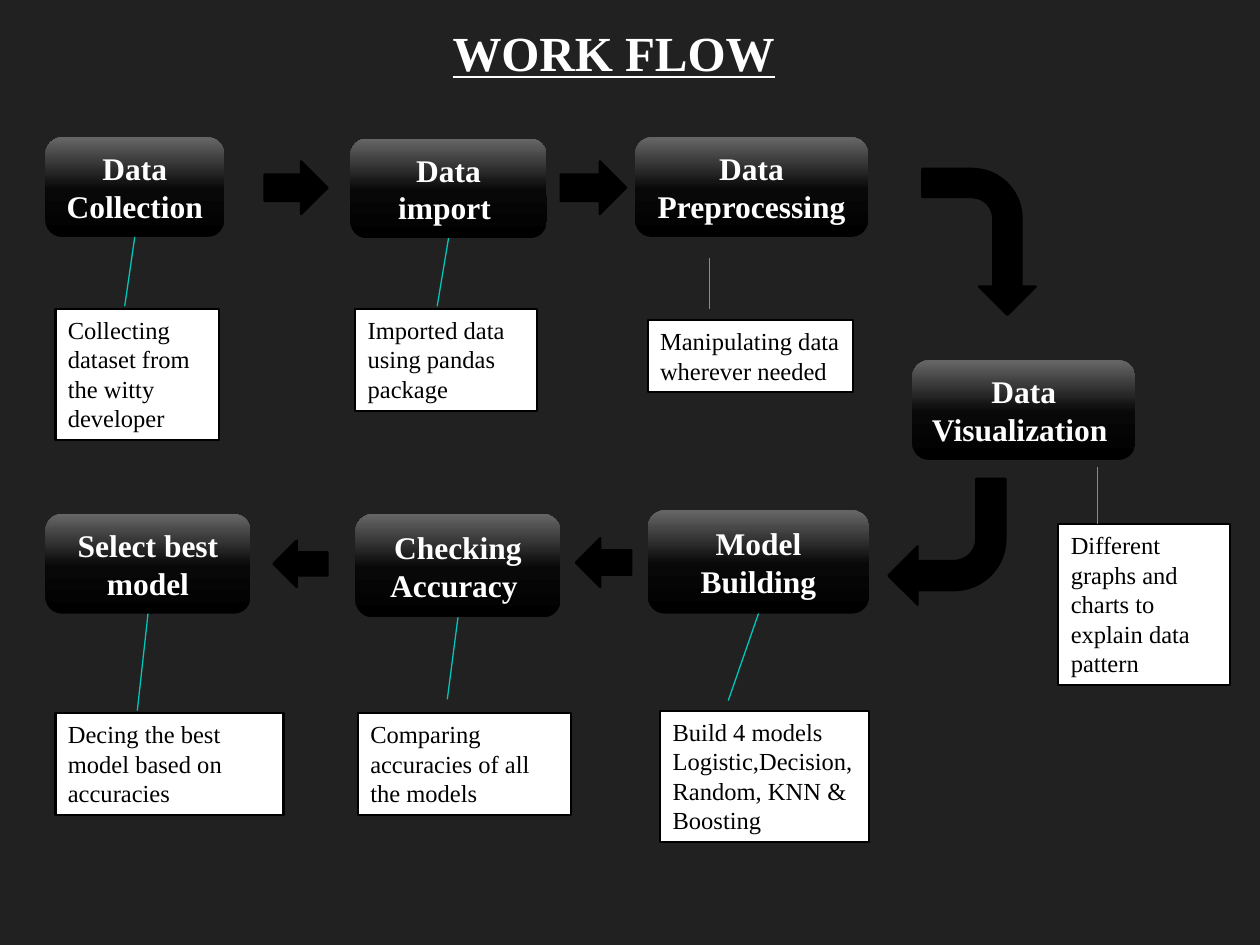
from copy import deepcopy
from dataclasses import dataclass

from pptx import Presentation
from pptx.dml.color import RGBColor
from pptx.enum.shapes import MSO_CONNECTOR, MSO_SHAPE as SHAPE
from pptx.enum.text import MSO_ANCHOR as ANCHOR, MSO_AUTO_SIZE as AUTO, PP_ALIGN as ALIGN
from pptx.oxml.ns import qn
from pptx.util import Inches, Pt


@dataclass(frozen=True)
class Theme:
    font: str = "Times New Roman"
    background: str = "212121"
    white: str = "FFFFFF"
    black: str = "000000"
    leader: str = "00C6BB"
    gradient: tuple = ((0, "000000"), (0.48, "080808"), (1, "666666"))
    title_size: int = 28
    stage_size: int = 18
    note_size: int = 14
    border: float = 1.25
    leader_width: float = 0.75


THEME = Theme()
BOTTOM = 2

# stage text, stage box, note paragraphs, note box, leader start, leader end
# (a start of None means the middle of the stage's bottom side)
STEPS = [
    ("Data Collection", (0.36, 1.09, 1.42, 0.79),
     ["Collecting dataset from the witty developer"], (0.44, 2.45, 1.3, 1.04),
     None, (0.99, 2.43)),
    ("Data import ", (2.78, 1.1, 1.56, 0.79),
     ["Imported data using pandas package"], (2.82, 2.45, 1.44, 0.81),
     None, (3.47, 2.43)),
    ("Data Preprocessing", (5.04, 1.09, 1.85, 0.79),
     ["Manipulating data wherever needed"], (5.14, 2.54, 1.63, 0.57),
     (5.63, 2.05), (5.63, 2.45)),
    ("Data Visualization ", (7.24, 2.86, 1.77, 0.79),
     ["Different graphs and charts to explain data pattern"], (8.4, 4.16, 1.36, 1.28),
     (8.71, 3.71), (8.71, 4.16)),
    ("Model Building", (5.14, 4.05, 1.76, 0.82),
     ["Build 4 models", "Logistic,Decision,Random, KNN & Boosting"], (5.24, 5.64, 1.66, 1.04),
     None, (5.78, 5.56)),
    ("Checking Accuracy ", (2.82, 4.08, 1.63, 0.82),
     ["Comparing accuracies of all the models"], (2.84, 5.66, 1.69, 0.81),
     None, (3.55, 5.55)),
    ("Select best model", (0.36, 4.08, 1.63, 0.79),
     ["Decing the best model based on accuracies"], (0.44, 5.66, 1.81, 0.81),
     None, (1.09, 5.64)),
]

# preset, box, rotation
ARROWS = [
    (SHAPE.RIGHT_ARROW, (2.1, 1.28, 0.5, 0.42), 0),
    (SHAPE.RIGHT_ARROW, (4.45, 1.28, 0.52, 0.42), 0),
    (SHAPE.BENT_ARROW, (7.19, 1.47, 1.16, 0.9), 90),
    (SHAPE.BENT_ARROW, (7.05, 3.8, 0.93, 1), 180),
    (SHAPE.LEFT_ARROW, (4.57, 4.27, 0.44, 0.39), 0),
    (SHAPE.LEFT_ARROW, (2.17, 4.29, 0.43, 0.37), 0),
]


def rgb(value):
    return RGBColor.from_string(value)


def inches(values):
    return [Inches(v) for v in values]


def write(sp, paragraphs, color, align, frame, **font):
    """Fill a shape with text; frame and font hold attribute values."""
    tf = sp.text_frame
    for name, value in {"word_wrap": True, **frame}.items():
        setattr(tf, name, value)
    for i, text in enumerate(paragraphs):
        p = tf.add_paragraph() if i else tf.paragraphs[0]
        p.alignment = align
        r = p.add_run()
        r.text = text
        for name, value in {"name": THEME.font, **font}.items():
            setattr(r.font, name, value)
        r.font.color.rgb = rgb(color)


def add_box(slide, preset, box, fill):
    """Add a flat shape with a thin black border."""
    sp = slide.shapes.add_shape(preset, *inches(box))
    sp.shadow.inherit = False
    sp.fill.solid()
    sp.fill.fore_color.rgb = rgb(fill)
    sp.line.color.rgb = rgb(THEME.black)
    sp.line.width = Pt(THEME.border)
    return sp


def shade(sp):
    """Give a shape the three-stop gradient, light at the top."""
    sp.fill.gradient()
    sp.fill.gradient_angle = 90
    stops = sp._element.spPr.find(qn("a:gradFill")).find(qn("a:gsLst"))
    stops.append(deepcopy(stops[0]))
    for stop, (position, color) in zip(sp.fill.gradient_stops, THEME.gradient):
        stop.position = position
        stop.color.rgb = rgb(color)


def add_stage(slide, text, box):
    sp = add_box(slide, SHAPE.ROUNDED_RECTANGLE, box, THEME.black)
    shade(sp)
    sp.line.fill.background()
    write(sp, [text], THEME.white, ALIGN.CENTER, {"vertical_anchor": ANCHOR.MIDDLE},
          size=Pt(THEME.stage_size), bold=True)
    return sp


def add_note(slide, paragraphs, box):
    sp = add_box(slide, SHAPE.RECTANGLE, box, THEME.white)
    write(sp, paragraphs, THEME.black, ALIGN.LEFT,
          {"vertical_anchor": ANCHOR.TOP, "auto_size": AUTO.SHAPE_TO_FIT_TEXT},
          size=Pt(THEME.note_size))


def add_leader(slide, stage, start, end):
    line = slide.shapes.add_connector(MSO_CONNECTOR.STRAIGHT, *inches((start or end) + end))
    if start is None:
        line.begin_connect(stage, BOTTOM)
    line.line.color.rgb = rgb(THEME.leader)
    line.line.width = Pt(THEME.leader_width)
    spPr = line._element.spPr
    spPr.append(spPr.makeelement(qn("a:effectLst"), {}))


def add_title(slide, text, box):
    sp = slide.shapes.add_textbox(*inches(box))
    write(sp, [text], THEME.white, ALIGN.CENTER, {"auto_size": AUTO.SHAPE_TO_FIT_TEXT},
          size=Pt(THEME.title_size), bold=True, underline=True)


def main():
    prs = Presentation()
    prs.slide_width, prs.slide_height = Inches(10), Inches(7.5)
    slide = prs.slides.add_slide(prs.slide_layouts[6])
    slide.background.fill.solid()
    slide.background.fill.fore_color.rgb = rgb(THEME.background)

    add_title(slide, "WORK FLOW", (3.1, 0.13, 3.54, 0.57))
    for text, box, note, note_box, start, end in STEPS:
        stage = add_stage(slide, text, box)
        add_note(slide, note, note_box)
        add_leader(slide, stage, start, end)
    for preset, box, rotation in ARROWS:
        add_box(slide, preset, box, THEME.black).rotation = rotation

    prs.save("out.pptx")


if __name__ == "__main__":
    main()
